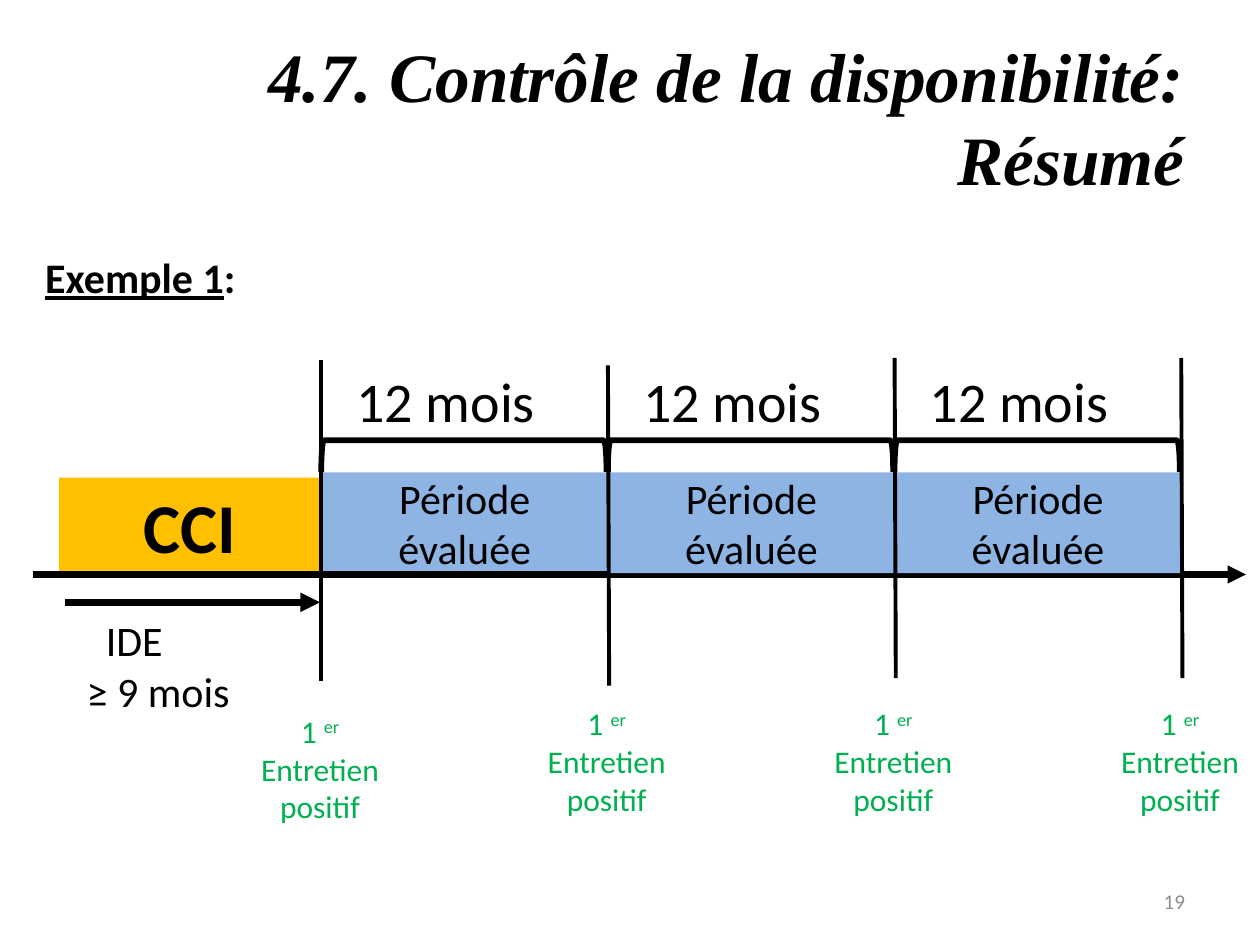
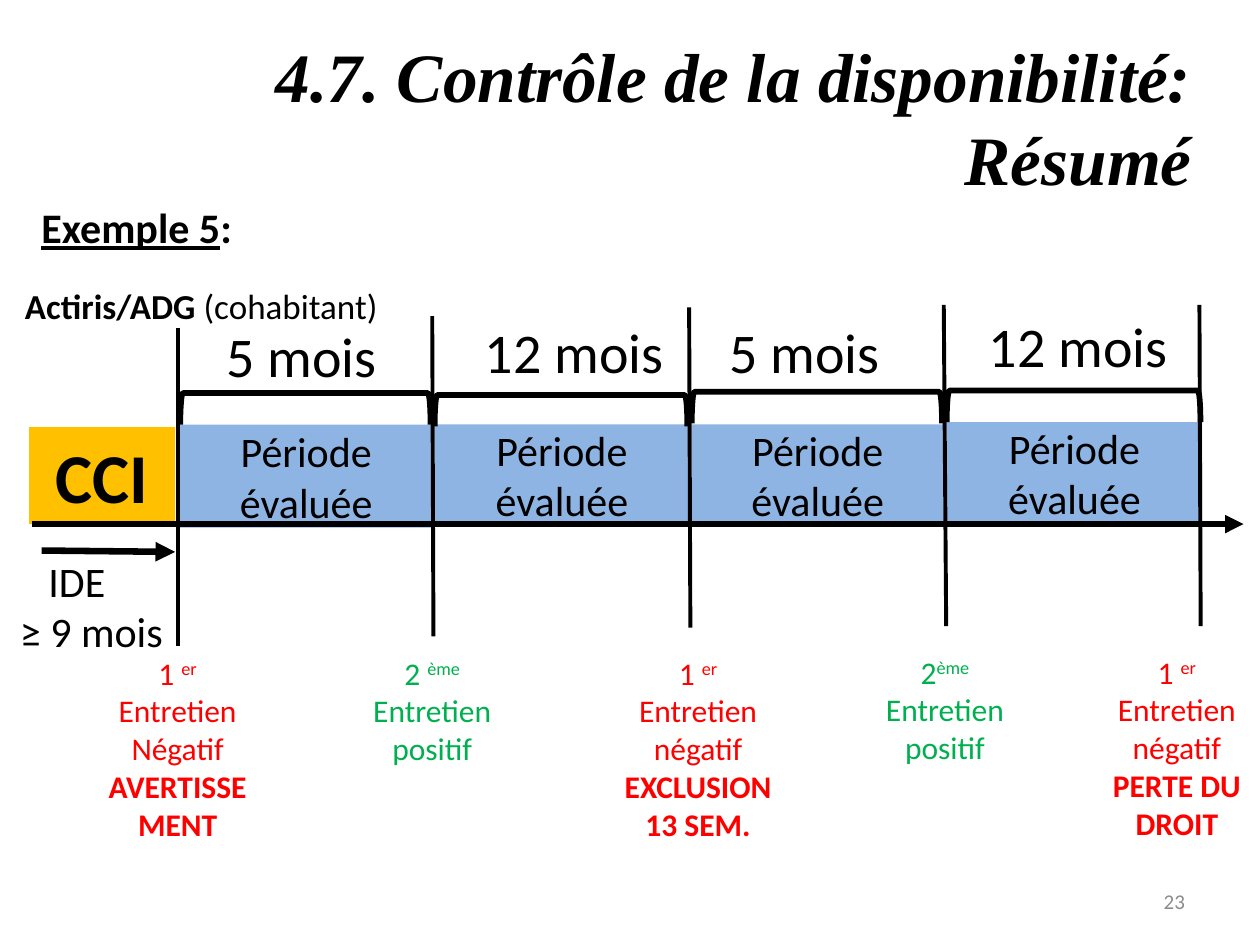
"""Build two timeline slides that sum up the availability checks."""
from collections import namedtuple

from lxml import etree
from pptx import Presentation
from pptx.dml.color import RGBColor
from pptx.enum.shapes import MSO_CONNECTOR, MSO_SHAPE
from pptx.enum.text import MSO_ANCHOR, PP_ALIGN
from pptx.oxml.ns import qn
from pptx.util import Pt

BLACK = RGBColor(0, 0, 0)
GREY = RGBColor(0x8C, 0x8C, 0x8C)
BLUE = RGBColor(0x8E, 0xB4, 0xE3)
AMBER = RGBColor(0xFF, 0xC0, 0x00)
GREEN = RGBColor(0x00, 0xB0, 0x50)
RED = RGBColor(0xFF, 0x00, 0x00)

BODY_FONT = "Calibri"
TITLE_FONT = "Times New Roman"
TITLE = "4.7. Contrôle de la disponibilité: Résumé"
TITLE_ONLY = 5

LEFT, CENTER, RIGHT = PP_ALIGN.LEFT, PP_ALIGN.CENTER, PP_ALIGN.RIGHT
TOP, MIDDLE = MSO_ANCHOR.TOP, MSO_ANCHOR.MIDDLE
RECTANGLE, BRACKET = MSO_SHAPE.RECTANGLE, MSO_SHAPE.RIGHT_BRACKET
STRAIGHT = MSO_CONNECTOR.STRAIGHT

Period = namedtuple("Period", "left top width height label label_left label_top bracket_top")
Interview = namedtuple("Interview", "left top width rank suffix result sanctions")


def style_paragraph(para, size, color=BLACK, align=LEFT, bold=None, font=BODY_FONT):
    """Set the alignment and the font of a whole paragraph."""
    para.alignment = align
    para.font.name = font
    para.font.size = Pt(size)
    para.font.bold = bold
    para.font.color.rgb = color


def add_span(para, text, bold=None, underline=None, raised=False):
    """Append a run that may differ from its paragraph."""
    span = para.add_run()
    span.text = text
    span.font.bold = bold
    span.font.underline = underline
    if raised:
        span.font._element.set("baseline", "30000")


def add_text_box(page, left, top, width, height, anchor=TOP):
    """Add a wrapping text box and return its text frame."""
    frame = page.shapes.add_textbox(Pt(left), Pt(top), Pt(width), Pt(height)).text_frame
    frame.word_wrap = True
    frame.vertical_anchor = anchor
    return frame


def add_label(page, text, left, top, width, height, size, **style):
    """Add a text box with one uniform paragraph."""
    para = add_text_box(page, left, top, width, height).paragraphs[0]
    para.text = text
    style_paragraph(para, size, **style)


def add_block(page, text, left, top, width, height, fill, size, anchor=MIDDLE, bold=None):
    """Add a filled rectangle with centred text."""
    block = page.shapes.add_shape(RECTANGLE, Pt(left), Pt(top), Pt(width), Pt(height))
    block.shadow.inherit = False
    block.fill.solid()
    block.fill.fore_color.rgb = fill
    block.line.fill.background()
    block.text_frame.vertical_anchor = anchor
    para = block.text_frame.paragraphs[0]
    para.text = text
    style_paragraph(para, size, align=CENTER, bold=bold)


def add_line(page, start, end, weight, arrow=False):
    """Add a straight black line, with an arrowhead at its end if wanted."""
    line = page.shapes.add_connector(STRAIGHT, *(Pt(value) for value in start + end))
    line.line.color.rgb = BLACK
    line.line.width = Pt(weight)
    if arrow:
        etree.SubElement(line.line._get_or_add_ln(), qn("a:tailEnd"), type="triangle")
    etree.SubElement(line._element.spPr, qn("a:effectLst"))


def add_bracket(page, left, top, width, height=18):
    """Add a bracket that opens downwards over a period."""
    bracket = page.shapes.add_shape(
        BRACKET,
        Pt(left + (width - height) / 2),
        Pt(top + (height - width) / 2),
        Pt(height),
        Pt(width),
    )
    bracket.rotation = 270
    bracket.shadow.inherit = False
    bracket.fill.background()
    bracket.line.color.rgb = BLACK
    bracket.line.width = Pt(3.25)


def add_period(page, period):
    """Add an assessed period with its bracket and its length."""
    add_block(page, "Période évaluée", period.left, period.top,
              period.width, period.height, BLUE, 24)
    add_label(page, period.label, period.label_left, period.label_top, 137, 46, 32)
    add_bracket(page, period.left, period.bracket_top, period.width - 1)


def add_interview(page, interview):
    """Add the outcome of an interview below its marker."""
    color = GREEN if interview.result == "positif" else RED
    frame = add_text_box(page, interview.left, interview.top, interview.width, 94)
    para = frame.paragraphs[0]
    style_paragraph(para, 18, color, CENTER)
    add_span(para, interview.rank)
    add_span(para, interview.suffix, raised=True)
    add_span(para, f" Entretien {interview.result}")
    for sanction in interview.sanctions:
        para = frame.add_paragraph()
        para.text = sanction
        style_paragraph(para, 18, color, CENTER, bold=True)


def add_waiting_time(page, left, top, indent):
    """Add the two-line note on the waiting time."""
    frame = add_text_box(page, left, top, 117.4, 65.5)
    first, second = frame.paragraphs[0], frame.add_paragraph()
    first.text, second.text = "IDE", "≥ 9 mois"
    first._p.get_or_add_pPr().set("marL", str(Pt(indent)))
    for para in (first, second):
        style_paragraph(para, 24)


def add_page(deck, title_left, number):
    """Add a slide with the shared title and its page number."""
    page = deck.slides.add_slide(deck.slide_layouts[TITLE_ONLY])
    title = page.shapes.title
    title.left, title.top, title.width, title.height = (
        Pt(value) for value in (title_left, 21.6, 648, 90))
    title.text_frame.vertical_anchor = MIDDLE
    para = title.text_frame.paragraphs[0]
    para.text = TITLE
    style_paragraph(para, 39.6, align=RIGHT, bold=True, font=TITLE_FONT)
    para.font.italic = True
    para = add_text_box(page, 516.2, 500.4, 168, 28.8, MIDDLE).paragraphs[0]
    para.text = number
    style_paragraph(para, 12, GREY, RIGHT)
    return page


def add_example_heading(page, text, left, top):
    """Add the underlined example heading."""
    para = add_text_box(page, left, top, 177, 36).paragraphs[0]
    style_paragraph(para, 24, bold=True)
    add_span(para, text, underline=True)
    add_span(para, ":")


def add_timeline(page, periods, axis, periods_under_axis, markers, interviews):
    """Add the periods, the time axis, the markers and the interviews."""
    for count, period in enumerate(periods, 1):
        add_period(page, period)
        if count == periods_under_axis:
            add_line(page, *axis, 3.5, arrow=True)
    for x, top, length, lean in markers:
        add_line(page, (x, top), (x + lean, top + length), 2.25)
    for interview in interviews:
        add_interview(page, interview)


def add_first_example(deck):
    """Add the example in which every interview is positive."""
    page = add_page(deck, 36, "19")
    add_example_heading(page, "Exemple 1", 18.7, 140.4)
    add_block(page, "CCI", 33.8, 272.9, 149, 55.4, AMBER, 40, TOP, bold=True)
    starts = [183.6 + 163.8 * step for step in range(4)]
    periods = [Period(x, 270, 164, 57.6, "12 mois", x + 13, 205.9, 251.6) for x in starts[:3]]
    marker_tops = (205.9, 208.8, 204.5, 204.5)
    markers = [(x, top, 183, 0.7 if step else 0)
               for step, (x, top) in enumerate(zip(starts, marker_tops))]
    interviews = [Interview(x - 47.5, 398.9 if step else 403.2, 93.6, "1 ", "er", "positif", ())
                  for step, x in enumerate(starts)]
    add_timeline(page, periods, ((18.7, 328.3), (712, 328.3)), 1, markers, interviews)
    add_line(page, (37.4, 344.2), (182.9, 344.2), 3.75, arrow=True)
    add_waiting_time(page, 42.5, 347.8, 10.9)


def add_fifth_example(deck):
    """Add the example that ends with the loss of the right."""
    page = add_page(deck, 40.3, "23")
    add_example_heading(page, "Exemple 5", 16.6, 111.6)
    para = add_text_box(page, 7.2, 159.1, 230.4, 31.7).paragraphs[0]
    style_paragraph(para, 20)
    add_span(para, "Actiris/ADG ", bold=True)
    add_span(para, "(cohabitant)")
    add_block(page, "CCI", 16.6, 244.1, 83.5, 55.4, AMBER, 40, TOP, bold=True)
    periods = [
        Period(103, 242.6, 144, 59, "5 mois", 122.4, 180, 224.6),
        Period(248.4, 242.6, 145.4, 57.6, "12 mois", 270, 177.8, 225.7),
        Period(395.3, 242.6, 144, 57.6, "5 mois", 409.7, 177.8, 223.9),
        Period(541, 241.2, 146, 57.6, "12 mois", 558, 174.2, 223.2),
    ]
    markers = [
        (101.5, 187.2, 182.2, 0),
        (247, 180.7, 182.9, 0.7),
        (393.8, 175.7, 182.9, 0.7),
        (539.3, 174.2, 183.6, 1.4),
        (685.4, 174.2, 183.6, 0.7),
    ]
    interviews = [
        Interview(54.7, 370, 93.6, "1 ", "er", "Négatif", ("AVERTISSEMENT",)),
        Interview(200.2, 370, 93.6, "2 ", "ème", "positif", ()),
        Interview(347.8, 370, 102.2, "1 ", "er", "négatif", ("EXCLUSION", "13 SEM.")),
        Interview(493.2, 369.4, 93.6, "2", "ème", "positif", ()),
        Interview(621.4, 369.4, 102.2, "1 ", "er", "négatif", ("PERTE DU DROIT",)),
    ]
    add_timeline(page, periods, ((18, 299.5), (710.6, 299.5)), 4, markers, interviews)
    add_line(page, (23.8, 314.6), (100.1, 315.4), 3.75, arrow=True)
    add_waiting_time(page, 4.3, 313.9, 16.3)


def main():
    """Build the deck and save it."""
    deck = Presentation()
    deck.slide_width, deck.slide_height = Pt(720), Pt(540)
    add_first_example(deck)
    add_fifth_example(deck)
    deck.save("out.pptx")


if __name__ == "__main__":
    main()
